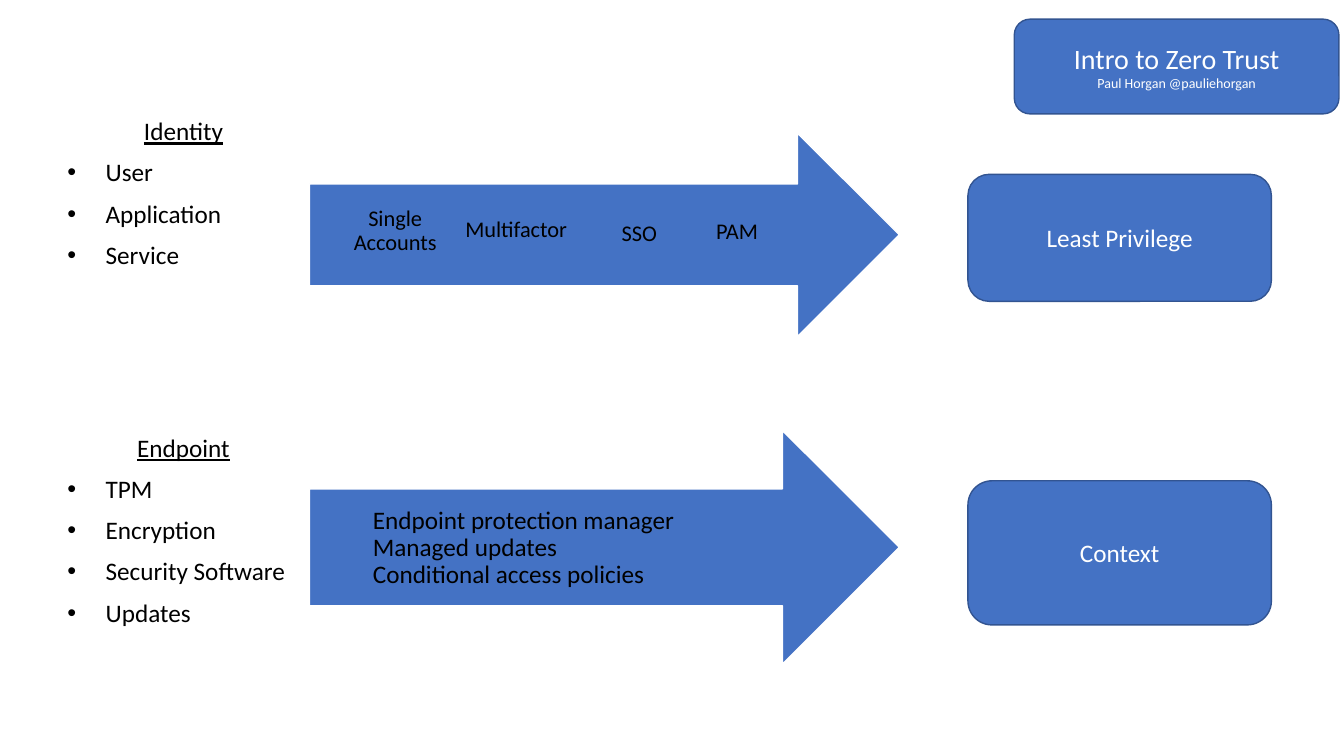
from dataclasses import dataclass

from lxml import etree
from pptx import Presentation
from pptx import util as u
from pptx.dml.color import RGBColor
from pptx.enum import shapes, text
from pptx.oxml import ns

EMU_PER_PX = 9144  # 100 px to the inch


def px(length):
    return u.Emu(length * EMU_PER_PX)


@dataclass(frozen=True)
class Theme:
    font: str = "Calibri"
    blue: str = "4472C4"
    outline: str = "325491"
    dark: str = "000000"
    light: str = "FFFFFF"
    title: int = 20
    body: int = 18
    label: int = 16
    credit: int = 10


class SlideBuilder:
    def __init__(self, slide, theme):
        self.slide = slide
        self.theme = theme

    def style(self, paragraph, size, color, align=text.PP_ALIGN.LEFT):
        paragraph.alignment = align
        paragraph.font.name = self.theme.font
        paragraph.font.size = u.Pt(size)
        paragraph.font.color.rgb = RGBColor.from_string(color)

    def block(self, kind, box, outline):
        shape = self.slide.shapes.add_shape(kind, *map(px, box))
        shape.shadow.inherit = False
        shape.fill.solid()
        shape.fill.fore_color.rgb = RGBColor.from_string(self.theme.blue)
        shape.line.color.rgb = RGBColor.from_string(outline)
        shape.line.width = u.Pt(1)
        return shape

    def arrow(self, box):
        self.block(shapes.MSO_SHAPE.RIGHT_ARROW, box, self.theme.light)

    def card(self, box, lines):
        """Rounded box with centred (wording, size) lines."""
        shape = self.block(shapes.MSO_SHAPE.ROUNDED_RECTANGLE, box, self.theme.outline)
        frame = shape.text_frame
        frame.vertical_anchor = text.MSO_ANCHOR.MIDDLE
        frame.text = "\n".join(wording for wording, _ in lines)
        for paragraph, (_, size) in zip(frame.paragraphs, lines):
            self.style(paragraph, size, self.theme.light, text.PP_ALIGN.CENTER)

    def text_box(self, box, wording):
        frame = self.slide.shapes.add_textbox(*map(px, box)).text_frame
        frame.word_wrap = True
        frame.text = wording
        return frame

    def line(self, box, wording):
        frame = self.text_box(box, wording)
        self.style(frame.paragraphs[0], self.theme.body, self.theme.dark)

    def label(self, box, wording):
        frame = self.text_box(box, wording)
        frame.vertical_anchor = text.MSO_ANCHOR.MIDDLE
        frame.margin_left = frame.margin_right = 0
        frame.margin_top = frame.margin_bottom = px(18)
        paragraph = frame.paragraphs[0]
        paragraph.line_spacing = 0.9
        self.style(paragraph, self.theme.label, self.theme.dark, text.PP_ALIGN.CENTER)

    def bullet_list(self, box, heading, items):
        frame = self.text_box(box, "\n".join([heading, *items]))
        first, *bullets = frame.paragraphs
        first.line_spacing = 0.9
        self.style(first, self.theme.body, self.theme.dark, text.PP_ALIGN.CENTER)
        first.font.underline = True
        for paragraph in bullets:
            paragraph.line_spacing = 0.9
            paragraph.space_before = u.Pt(10)
            properties = paragraph._p.get_or_add_pPr()
            properties.set("marL", str(px(38)))
            properties.set("indent", str(-px(38)))
            etree.SubElement(properties, ns.qn("a:buFont"), typeface="Arial")
            etree.SubElement(properties, ns.qn("a:buChar"), char="•")
            self.style(paragraph, self.theme.body, self.theme.dark)


def main():
    presentation = Presentation()
    presentation.slide_width, presentation.slide_height = px(1333), px(750)
    theme = Theme()
    slide = presentation.slides.add_slide(presentation.slide_layouts[6])
    builder = SlideBuilder(slide, theme)

    # Title card
    builder.card((1006, 19, 322, 94), [
        ("Intro to Zero Trust", theme.title),
        ("Paul Horgan @pauliehorgan", theme.credit),
    ])

    # Topic rows: list, arrow and outcome
    rows = [
        (113, "Identity", ["User", "Application", "Service"],
         (132, 202), "Least Privilege", (173, 126)),
        (427, "Endpoint", ["TPM", "Encryption", "Security Software", "Updates"],
         (427, 232), "Context", (477, 143)),
    ]
    for list_top, heading, items, (arrow_top, arrow_height), outcome, (top, height) in rows:
        builder.bullet_list((57, list_top, 250, 297), heading, items)
        builder.arrow((307, arrow_top, 585, arrow_height))
        builder.card((960, top, 301, height), [(outcome, theme.body)])

    # Identity controls
    controls = [("Single Accounts", 340, 187), ("Multifactor", 460, 186),
                ("SSO", 582, 190), ("PAM", 679, 188)]
    for wording, left, top in controls:
        builder.label((left, top, 104, 85), wording)

    # Endpoint controls
    policies = ["Endpoint protection manager", "Managed updates", "Conditional access policies"]
    for index, wording in enumerate(policies):
        builder.line((360, 495 + 27 * index, 356, 40), wording)

    presentation.save("out.pptx")


if __name__ == "__main__":
    main()
